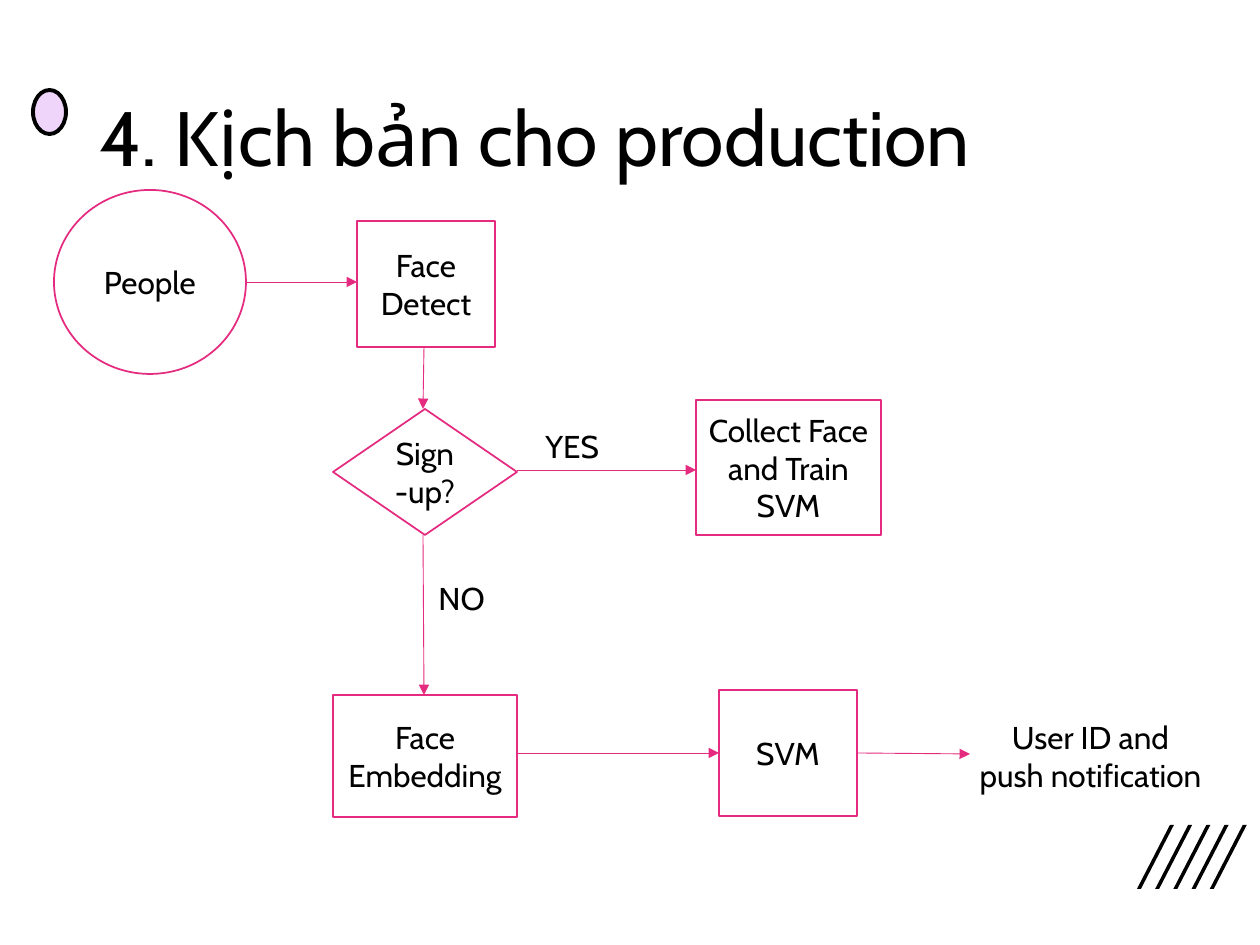
from lxml import etree
from pptx import Presentation
from pptx.dml.color import RGBColor
from pptx.enum.shapes import MSO_CONNECTOR, MSO_SHAPE
from pptx.enum.text import MSO_ANCHOR, PP_ALIGN
from pptx.oxml.ns import qn
from pptx.util import Pt

RECT, OVAL, DIAMOND = MSO_SHAPE.RECTANGLE, MSO_SHAPE.OVAL, MSO_SHAPE.DIAMOND
LEFT, CENTER = PP_ALIGN.LEFT, PP_ALIGN.CENTER
TOP, MIDDLE = MSO_ANCHOR.TOP, MSO_ANCHOR.MIDDLE
FONT = "Cabin"
PINK, BLACK, WHITE, LILAC = "E52B80", "000000", "FFFFFF", "EFD5FA"

# Content: lengths in px, 126 px to the inch
W, H = 1260, 945
TITLE = ("4. Kịch bản cho production", (87, 50, 1086, 183))
DOT = (33, 90, 33, 44)
STEPS = [  # shape, box, paragraphs
    (RECT, (357, 221, 138, 126), ["Face", "Detect"]),
    (RECT, (333, 695, 184, 122), ["Face Embedding"]),
    (OVAL, (54, 190, 192, 184), ["People"]),
    (RECT, (719, 690, 138, 126), ["SVM"]),
    (DIAMOND, (333, 409, 184, 126), ["Sign-up?"]),
    (RECT, (696, 400, 185, 135), ["Collect Face and Train SVM"]),
]
ARROWS = [  # x1, y1, x2, y2
    (246, 282, 357, 282),
    (424, 347, 423, 409),
    (517, 470, 696, 470),
    (423, 535, 424, 695),
    (517, 753, 719, 753),
    (857, 753, 970, 754),
]
LABELS = [  # box, paragraphs, alignment
    ((960, 712, 261, 89), ["User ID and", "push notification"], CENTER),
    ((533, 421, 103, 50), ["YES"], LEFT),
    ((426, 573, 117, 50), ["NO"], LEFT),
]
STRIPES = dict(count=5, x=1137, y=825, step=18.2, slant=33, thick=4, height=64)


def px(*values):
    return [round(v * 914400 / 126) for v in values]


def rgb(value):
    return RGBColor.from_string(value)


def write(shape, lines, size=18, align=CENTER, anchor=MIDDLE):
    tf = shape.text_frame
    tf.word_wrap = True
    tf.vertical_anchor = anchor
    tf.text = "\n".join(lines)
    for p in tf.paragraphs:
        p.alignment = align
        p.font.name, p.font.size = FONT, Pt(size)
        p.font.color.rgb = rgb(BLACK)
    return tf


def paint(shape, fill, line=None, width=1):
    shape.shadow.inherit = False
    shape.fill.solid()
    shape.fill.fore_color.rgb = rgb(fill)
    if line:
        shape.line.color.rgb = rgb(line)
        shape.line.width = Pt(width)
    else:
        shape.line.fill.background()


def add_arrow(shapes, ends):
    c = shapes.add_connector(MSO_CONNECTOR.STRAIGHT, *px(*ends))
    c.line.color.rgb = rgb(PINK)
    c.line.width = Pt(0.5)
    ln = c._element.spPr.find(qn("a:ln"))
    etree.SubElement(ln, qn("a:tailEnd"), type="triangle")
    etree.SubElement(c._element.spPr, qn("a:effectLst"))


def add_stripes(shapes, count, x, y, step, slant, thick, height):
    for i in range(count):
        left = x + i * step
        points = [(left + thick, y + height), (left, y + height),
                  (left + slant, y), (left + slant + thick, y)]
        start, *rest = [px(*point) for point in points]
        builder = shapes.build_freeform(*start, scale=1.0)
        builder.add_line_segments(rest, close=True)
        paint(builder.convert_to_shape(), BLACK)


def main():
    prs = Presentation()
    prs.slide_width, prs.slide_height = px(W, H)
    shapes = prs.slides.add_slide(prs.slide_layouts[6]).shapes

    # Decoration
    add_stripes(shapes, **STRIPES)
    paint(shapes.add_shape(OVAL, *px(*DOT)), LILAC, BLACK, 2.25)

    # Title
    text, box = TITLE
    tf = write(shapes.add_textbox(*px(*box)), [text], 44, LEFT)
    tf.paragraphs[0].line_spacing = 0.9

    # Flowchart
    for kind, box, lines in STEPS:
        s = shapes.add_shape(kind, *px(*box))
        paint(s, WHITE, PINK)
        write(s, lines)
    for ends in ARROWS:
        add_arrow(shapes, ends)
    for box, lines, align in LABELS:
        write(shapes.add_textbox(*px(*box)), lines, align=align, anchor=TOP)

    prs.save("out.pptx")


if __name__ == "__main__":
    main()
